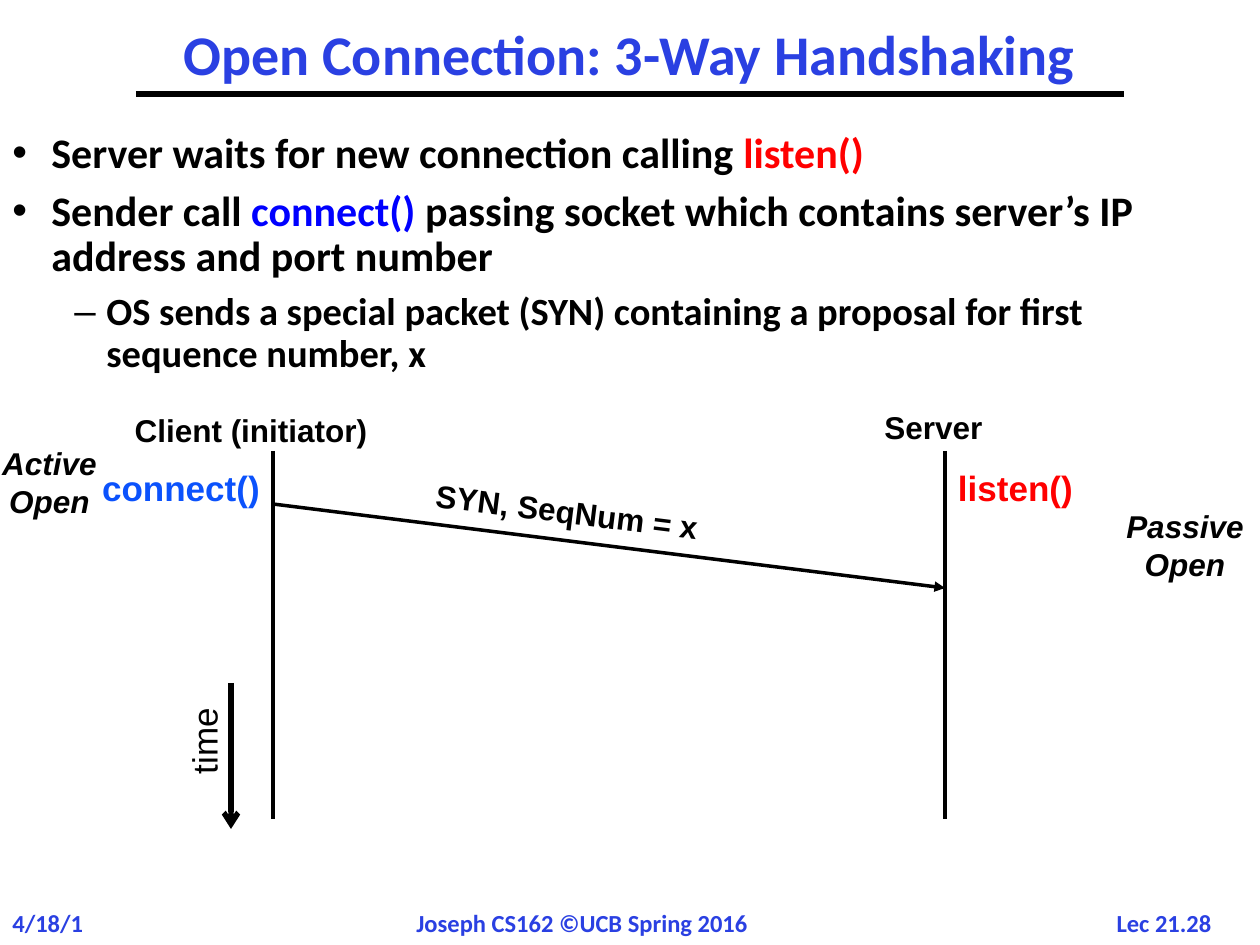
from lxml import etree
from pptx import Presentation
from pptx.dml.color import RGBColor
from pptx.enum.shapes import MSO_CONNECTOR
from pptx.enum.text import MSO_ANCHOR, PP_ALIGN
from pptx.oxml.ns import qn
from pptx.util import Pt

PX = 914400 / 126
LEFT, CENTER = PP_ALIGN.LEFT, PP_ALIGN.CENTER
MIDDLE = MSO_ANCHOR.MIDDLE
STRAIGHT = MSO_CONNECTOR.STRAIGHT
HEAD, BODY = "Calibri", "Arial"
COLORS = {"black": "000000", "title": "2A40E2", "red": "FF0000",
          "blue": "0000FF", "call": "0B52FC"}


def emu(px):
    return round(px * PX)


def rgb(name):
    return RGBColor.from_string(COLORS[name])


class Deck:
    def __init__(self, width, height):
        self.prs = Presentation()
        self.prs.slide_width, self.prs.slide_height = emu(width), emu(height)
        self.slide = self.prs.slides.add_slide(self.prs.slide_layouts[6])

    def style(self, run, size, color="black", face=BODY, bold=True, italic=False):
        font = run.font
        font.name, font.size = face, Pt(size)
        font.bold, font.italic = bold, italic
        font.color.rgb = rgb(color)

    def frame(self, box, wrap=False):
        shape = self.slide.shapes.add_textbox(*map(emu, box))
        shape.text_frame.word_wrap = wrap
        return shape

    def label(self, box, text, size=18, align=CENTER, turn=0, **look):
        shape = self.frame(box)
        shape.rotation = turn
        frame = shape.text_frame
        frame.text = text
        para = frame.paragraphs[0]
        para.alignment = align
        for run in para.runs:
            self.style(run, size, **look)
        return frame

    def line(self, start, end, width=2, tip=None):
        link = self.slide.shapes.add_connector(
            STRAIGHT, *map(emu, start + end))
        link.line.color.rgb = rgb("black")
        link.line.width = Pt(width)
        if tip:
            etree.SubElement(link.line._get_or_add_ln(), qn("a:tailEnd"), type=tip)
        etree.SubElement(link._element.spPr, qn("a:effectLst"))

    def bullets(self, box, items):
        """Fill a box from (level, size, [(text, color), ...]) items."""
        frame = self.frame(box, wrap=True).text_frame
        for i, (level, size, parts) in enumerate(items):
            para = frame.add_paragraph() if i else frame.paragraphs[0]
            mark, margin, hang = (("•", 39, 39), ("–", 94, 32))[level]
            props = para._p.get_or_add_pPr()
            props.set("marL", str(emu(margin)))
            props.set("indent", str(-emu(hang)))
            etree.SubElement(props, qn("a:buFont"), typeface=BODY)
            etree.SubElement(props, qn("a:buChar"), char=mark)
            para.level = level
            para.line_spacing = 0.9
            para.space_before = Pt(round(size * 0.3) if i else 0)
            for text, color in parts:
                run = para.add_run()
                run.text = text
                self.style(run, size, color, HEAD)


def main():
    deck = Deck(1260, 945)
    brand = {"color": "title", "face": HEAD}

    # Title and footer
    title = deck.label((136, 21, 987, 73), "Open Connection: 3-Way Handshaking",
                       32, **brand)
    title.word_wrap = True
    title.vertical_anchor = MIDDLE
    title.paragraphs[0].line_spacing = 0.9
    deck.line((136, 94), (1124, 94), 3)
    for left, width, text, align in (
            (0, 103, "4/18/16", LEFT),
            (404, 363, "Joseph CS162 ©UCB Spring 2016", LEFT),
            (1099, 130, "Lec 21.28", CENTER)):
        deck.label((left, 902, width, 42), text, 14, align, **brand)

    deck.bullets((0, 126, 1229, 284), [
        (0, 24, [("Server waits for new connection calling ", "black"),
                 ("listen()", "red")]),
        (0, 24, [("Sender call ", "black"), ("connect() ", "blue"),
                 ("passing socket which contains server’s IP address "
                  "and port number", "black")]),
        (1, 22, [("OS sends a special packet (SYN) containing a proposal "
                  "for first sequence number, x", "black")]),
    ])

    # Lifelines and the message between them
    client, server = 273, 945
    for x in (client, server):
        deck.line((x, 451), (x, 819))
    deck.line((client, 504), (server, 588), tip="triangle")
    deck.label((122, 405, 258, 50), "Client (initiator)")
    deck.label((871, 402, 125, 50), "Server")
    deck.label((420, 486, 294, 50), "SYN, SeqNum = x", turn=7.2)

    # Calls at each end
    deck.label((-14, 438, 127, 88), "Active\vOpen", italic=True)
    deck.label((89, 460, 184, 54), "connect()", 20, color="call")
    deck.label((1110, 501, 150, 88), "Passive\vOpen", italic=True)
    deck.label((server, 460, 141, 54), "listen()", 20, color="red")

    # Time axis
    deck.label((158, 713, 92, 55), "time", 20, LEFT, 270, bold=False)
    deck.line((231, 683), (231, 829), 3, "arrow")

    deck.prs.save("out.pptx")


if __name__ == "__main__":
    main()
